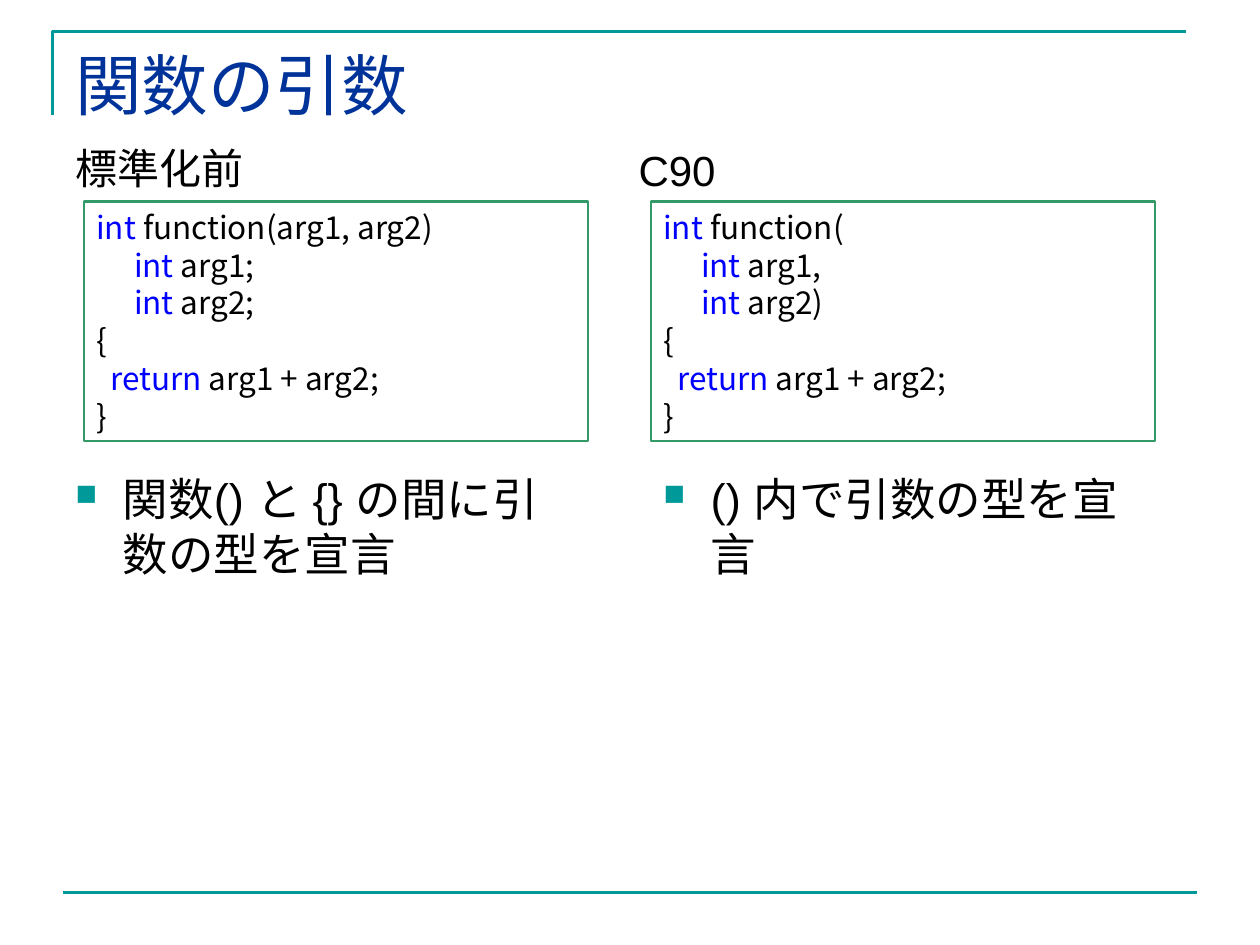
from lxml import etree
from pptx import Presentation
from pptx import util as u
from pptx.dml.color import RGBColor
from pptx.enum import shapes, text
from pptx.oxml import ns

TEAL = RGBColor(0x00, 0x99, 0x99)
GREEN = RGBColor(0x33, 0x99, 0x66)
NAVY = RGBColor(0x00, 0x33, 0x99)
BLUE = RGBColor(0x00, 0x00, 0xFF)
BLACK = RGBColor(0x00, 0x00, 0x00)
WHITE = RGBColor(0xFF, 0xFF, 0xFF)
WORDS = ("int", "return")


class Deck:
    sans = "Arial"
    serif = "Times New Roman"
    mono = "Noto Sans CJK JP"
    rule = u.Pt(1.5)

    def __init__(self, wide, high):
        self.prs = Presentation()
        self.prs.slide_width = u.Pt(wide)
        self.prs.slide_height = u.Pt(high)
        self.slide = self.prs.slides.add_slide(self.prs.slide_layouts[6])

    def stroke(self, line, color):
        line.color.rgb = color
        line.width = self.rule

    def style(self, para, name, size, color):
        para.font.name = name
        para.font.size = u.Pt(size)
        para.font.color.rgb = color

    def corner(self, first, *rest):
        pen = self.slide.shapes.build_freeform(*map(u.Pt, first))
        pen.add_line_segments([tuple(map(u.Pt, p)) for p in rest], close=False)
        shape = pen.convert_to_shape()
        shape.shadow.inherit = False
        shape.fill.background()
        self.stroke(shape.line, TEAL)

    def line(self, *ends):
        link = self.slide.shapes.add_connector(
            shapes.MSO_CONNECTOR.STRAIGHT, *map(u.Pt, ends))
        self.stroke(link.line, TEAL)
        etree.SubElement(link.element.spPr, ns.qn("a:effectLst"))

    def label(self, box, words, name, size, color=BLACK, wrap=True):
        frame = self.slide.shapes.add_textbox(*map(u.Pt, box)).text_frame
        frame.word_wrap = wrap
        para = frame.paragraphs[0]
        para.text = words
        self.style(para, name, size, color)
        return frame

    def title(self, box, words):
        self.label(box, words, self.serif, 38, NAVY)

    def head(self, box, words):
        self.label(box, words, self.sans, 24, wrap=False)

    def bullet(self, box, words):
        para = self.label(box, words, self.sans, 26).paragraphs[0]
        para.space_before = u.Pt(6.5)
        props = para._p.get_or_add_pPr()
        props.set("marL", str(u.Pt(27)))
        props.set("indent", str(u.Pt(-27)))
        tint = etree.SubElement(props, ns.qn("a:buClr"))
        etree.SubElement(tint, ns.qn("a:srgbClr"), val=str(TEAL))
        etree.SubElement(props, ns.qn("a:buSzPct"), val="65000")
        etree.SubElement(props, ns.qn("a:buChar"), char="■")

    def code(self, box, lines):
        shape = self.slide.shapes.add_shape(
            shapes.MSO_SHAPE.RECTANGLE, *map(u.Pt, box))
        shape.shadow.inherit = False
        shape.fill.solid()
        shape.fill.fore_color.rgb = WHITE
        self.stroke(shape.line, GREEN)
        frame = shape.text_frame
        frame.word_wrap = True
        frame.vertical_anchor = text.MSO_ANCHOR.TOP
        frame.auto_size = text.MSO_AUTO_SIZE.SHAPE_TO_FIT_TEXT
        for i, (inset, words) in enumerate(lines):
            para = frame.add_paragraph() if i else frame.paragraphs[0]
            para.alignment = text.PP_ALIGN.LEFT
            para._p.get_or_add_pPr().set("marL", str(u.Pt(inset)))
            self.style(para, self.mono, 18, BLACK)
            first, gap, rest = words.partition(" ")
            for part in filter(None, (first, gap + rest)):
                run = para.add_run()
                run.text = part
                run.font.color.rgb = BLUE if part in WORDS else BLACK


def main():
    deck = Deck(720, 540)
    deck.corner((30, 66), (30, 18), (678, 18))
    deck.line(36, 510, 684, 510)
    deck.title((36, 21.6, 648, 50.4), "関数の引数")
    tail = [(0, "{"), (8, "return arg1 + arg2;"), (0, "}")]
    sides = [
        ((36, 77.8, 116, 36), "標準化前", 48,
         ["int function(arg1, arg2)", "int arg1;", "int arg2;"],
         36, "関数() と {} の間に引数の型を宣言"),
        ((357.8, 79.2, 60, 36), "C90", 372,
         ["int function(", "int arg1,", "int arg2)"],
         372, "() 内で引数の型を宣言"),
    ]
    for spot, name, left, top, edge, note in sides:
        lines = list(zip((0, 21.6, 21.6), top)) + tail
        deck.code((left, 115.2, 288, 136.8), lines)
        deck.head(spot, name)
        deck.bullet((edge, 265.7, 300, 226.8), note)
    deck.prs.save("out.pptx")


if __name__ == "__main__":
    main()
